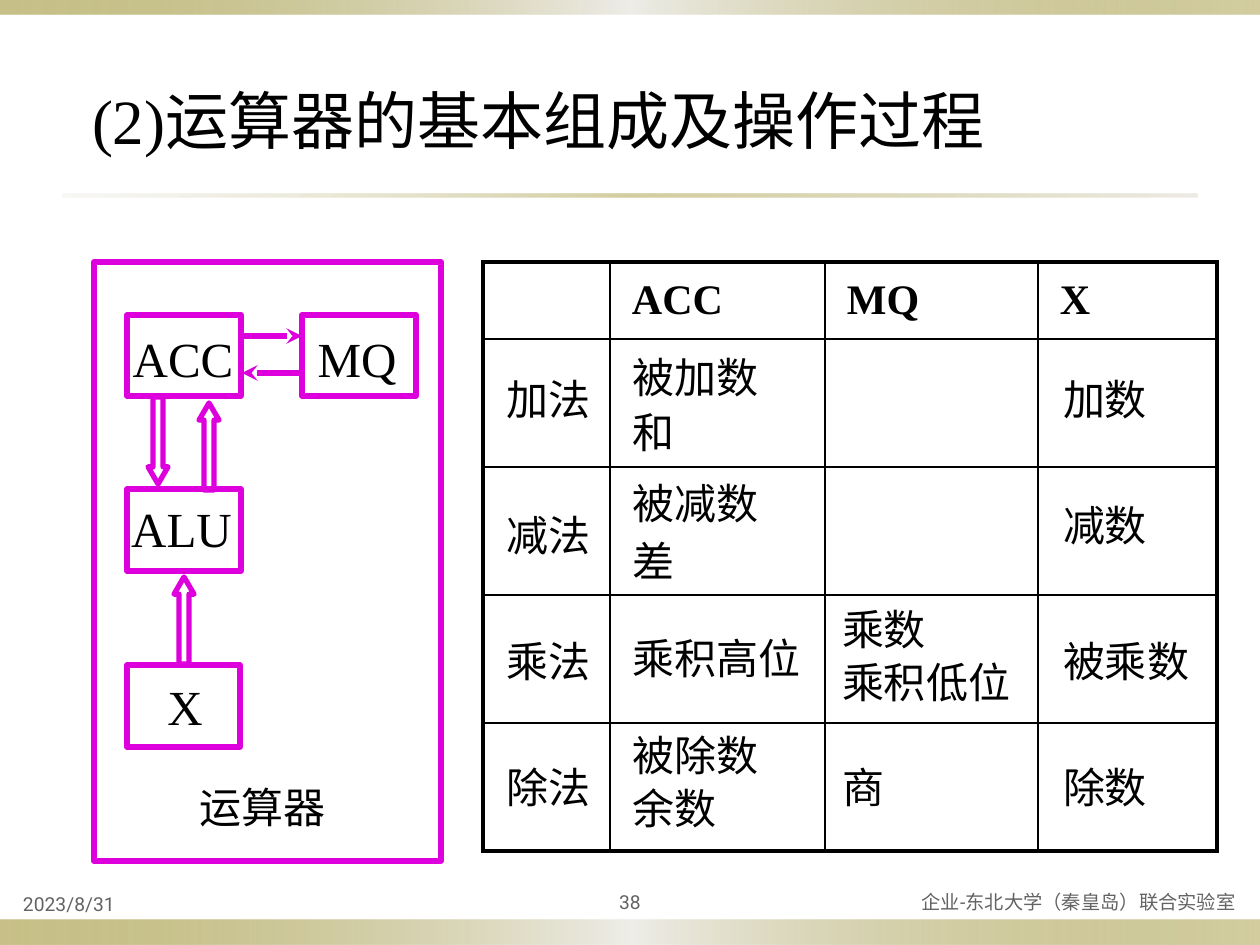
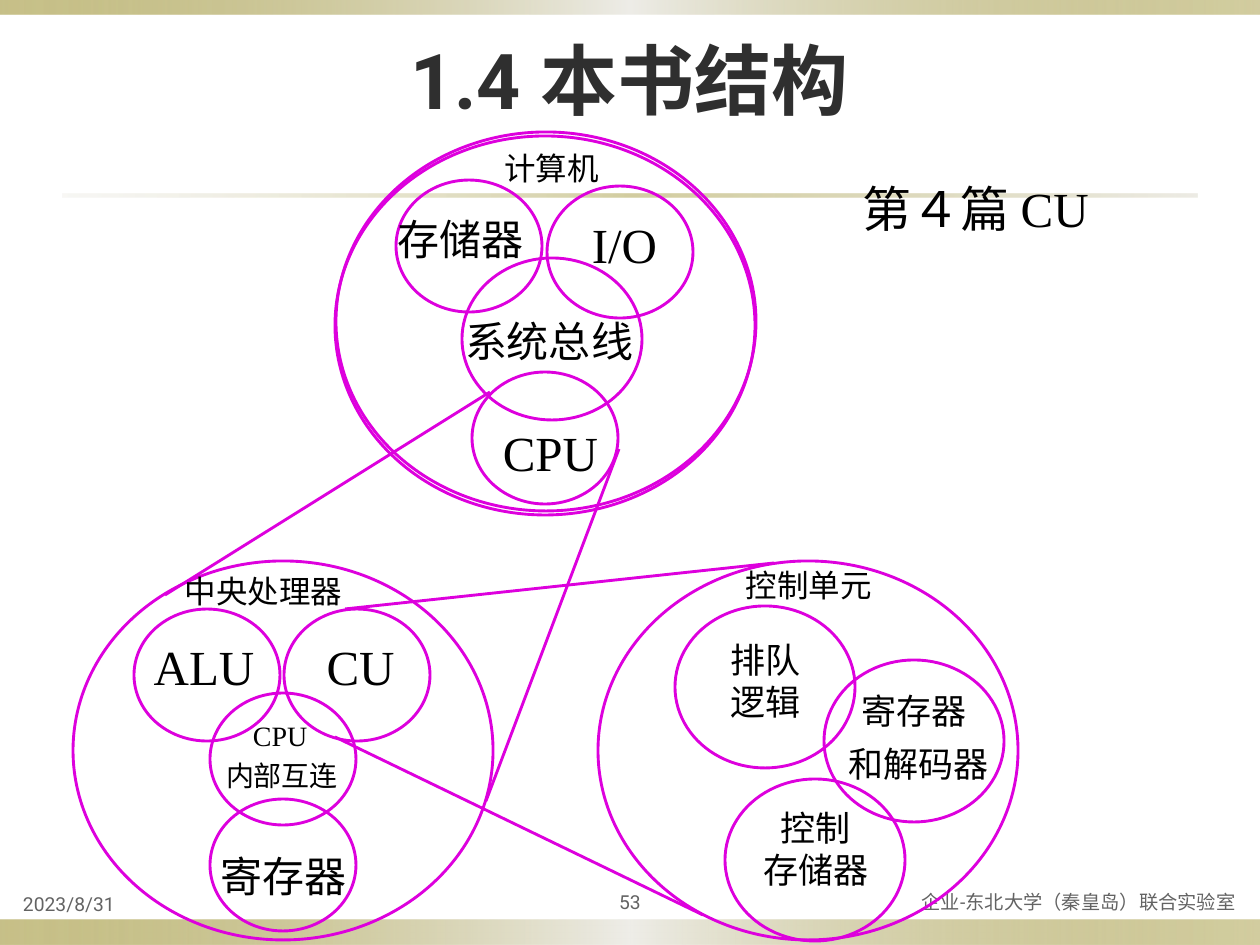
"""Build two lecture slides: arithmetic unit operation and the structure of the book."""
import dataclasses

import pptx
import pptx.dml.color
import pptx.enum.shapes
import pptx.enum.text
import pptx.oxml
import pptx.oxml.ns
import pptx.util

SHAPE = pptx.enum.shapes.MSO_SHAPE
ALIGN = pptx.enum.text.PP_ALIGN
ANCHOR = pptx.enum.text.MSO_ANCHOR


@dataclasses.dataclass(frozen=True)
class Theme:
    """Colours, fonts and sizes shared by the slides."""
    black: str = "000000"
    title: str = "2F2F2F"
    footer: str = "636363"
    magenta: str = "DD00DD"
    sans: str = "Roboto"
    serif: str = "Times New Roman"
    box_line: float = 3
    circle_line: float = 1.63
    outer_border: float = 2.25
    inner_border: float = 1
    footer_size: int = 11
    cell_size: int = 24
    band: tuple = ((0, "918415", 50), (50, "EEEDE8", 100), (100, "918415", 40))
    rule: tuple = ((0, "DCD9CC", 20), (50, "918415", 40), (100, "DCD9CC", 50))


T = Theme()
PX = 914400 / 126
SIZE = (1260, 945)
INSET = (13, 6, 13, 6)
FLUSH = (0, 0, 0, 0)

BANDS = [((0, 920, 1260, 25), T.band), ((0, 0, 1260, 15), T.band),
         ((63, 194, 1134, 3), T.rule)]
DATE = "2023/8/31"
LAB = "企业-东北大学（秦皇岛）联合实验室"

UNIT = {
    "page": "38",
    "title": "(2)运算器的基本组成及操作过程",
    "title_box": (79, 76, 1007, 88),
    "title_format": {"size": 36, "font": T.serif, "color": T.black,
                     "align": ALIGN.LEFT, "anchor": ANCHOR.TOP},
    "boxes": [(94, 262, 347, 599), (302, 315, 114, 81), (127, 315, 114, 81),
              (127, 489, 114, 82), (127, 665, 113, 82)],
    "labels": [
        ("运算器", (200, 782, 128, 50), 24, T.sans, ALIGN.LEFT),
        ("MQ", (315, 328, 84, 59), 28, T.serif, ALIGN.CENTER),
        ("ACC", (130, 328, 106, 59), 28, T.serif, ALIGN.CENTER),
        ("ALU", (130, 498, 103, 59), 28, T.serif, ALIGN.CENTER),
        ("X", (163, 677, 44, 59), 28, T.serif, ALIGN.CENTER),
    ],
    "block_arrows": [((199, 403, 20, 87), 0), ((174, 577, 20, 87), 0),
                     ((148, 397, 20, 87), 180)],
    "thin_arrows": [(241, 336, 302, 336), (302, 373, 242, 373)],
    "table_at": (483, 262),
    "columns": [127, 215, 213, 179],
    "rows": [77, 128, 128, 128, 128],
    "heads": ["", "ACC", "MQ", "X"],
    "entries": [
        (494, 150, [("加法", 368), ("减法", 504), ("乘法", 630), ("除法", 756)]),
        (620, 252, [("被加数", 346), ("和", 401), ("被减数", 472), ("差", 530),
                    ("乘积高位", 627), ("被除数", 724), ("余数", 777)]),
        (829, 230, [("乘数", 598), ("乘积低位", 651), ("商", 756)]),
        (1050, 170, [("加数", 368), ("减数", 494), ("被乘数", 630), ("除数", 756)]),
    ],
}

BOOK = {
    "page": "53",
    "title": "1.4 本书结构",
    "title_box": (94, 0, 1071, 158),
    "title_format": {"size": 44, "font": T.sans, "color": T.title, "bold": True,
                     "align": ALIGN.CENTER, "anchor": ANCHOR.MIDDLE},
    "circles": {
        (420, 379): [(335, 136), (336, 132), (73, 561), (598, 561)],
        (146, 132): [(210, 693), (134, 609), (284, 609), (210, 799),
                     (396, 180), (547, 186), (472, 372)],
        (180, 162): [(824, 660), (675, 606), (725, 779), (462, 258)],
    },
    "zoom_lines": [(490, 392, 165, 595), (619, 449, 486, 801),
                   (335, 737, 703, 915), (345, 609, 774, 563)],
    "labels": [
        ("CPU", (253, 719, 100, 34), 16, T.serif, ALIGN.LEFT),
        ("内部互连", (226, 759, 132, 34), 16, T.sans, ALIGN.LEFT),
        ("ALU", (152, 636, 104, 59), 28, T.serif, ALIGN.CENTER),
        ("CU", (325, 636, 71, 59), 28, T.serif, ALIGN.CENTER),
        ("寄存器", (221, 851, 128, 50), 24, T.sans, ALIGN.LEFT),
        ("中央处理器", (185, 572, 330, 38), 18, T.sans, ALIGN.LEFT),
        ("寄存器", (861, 689, 106, 42), 20, T.sans, ALIGN.LEFT),
        ("和解码器", (848, 742, 142, 42), 20, T.sans, ALIGN.LEFT),
        ("控制单元", (746, 566, 183, 38), 18, T.sans, ALIGN.LEFT),
        ("排队\n逻辑", (681, 638, 170, 92), 20, T.sans, ALIGN.CENTER),
        ("控制\n存储器", (741, 806, 150, 92), 20, T.sans, ALIGN.CENTER),
        ("计算机", (504, 149, 97, 38), 18, T.sans, ALIGN.LEFT),
        ("I/O", (573, 214, 103, 59), 28, T.serif, ALIGN.CENTER),
        ("系统总线", (465, 316, 171, 50), 24, T.sans, ALIGN.LEFT),
        ("存储器", (398, 214, 128, 50), 24, T.sans, ALIGN.LEFT),
        ("CPU", (500, 422, 101, 59), 28, T.serif, ALIGN.CENTER),
    ],
    "part": (("第４篇 ", T.sans), ("CU", T.serif)),
    "part_box": (850, 173, 375, 72),
}


def emu(*px):
    return [round(v * PX) for v in px]


def rgb(color):
    return pptx.dml.color.RGBColor.from_string(color)


def apply(obj, values):
    for name, value in values.items():
        setattr(obj, name, value)


def style(font, size, name, color=T.black, bold=False):
    apply(font, {"size": pptx.util.Pt(size), "name": name, "bold": bold})
    font.color.rgb = rgb(color)


def write(tf, text, size, font, color=T.black, bold=False, align=ALIGN.LEFT,
          anchor=ANCHOR.TOP, inset=INSET):
    """Fill a text frame; text is a string or (text, font) runs."""
    sides = ("margin_left", "margin_top", "margin_right", "margin_bottom")
    apply(tf, dict(zip(sides, emu(*inset))))
    apply(tf, {"word_wrap": True, "vertical_anchor": anchor,
               "auto_size": pptx.enum.text.MSO_AUTO_SIZE.NONE})
    lines = [((s, font),) for s in text.split("\n")] if isinstance(text, str) else [text]
    for i, runs in enumerate(lines):
        p = tf.paragraphs[0] if i == 0 else tf.add_paragraph()
        p.alignment = align
        for content, name in runs:
            r = p.add_run()
            r.text = content
            style(r.font, size, name, color, bold)


def add_text(slide, text, box, size, font, **formats):
    write(slide.shapes.add_textbox(*emu(*box)).text_frame, text, size, font, **formats)


def add_labels(slide, labels):
    for text, box, size, font, align in labels:
        add_text(slide, text, box, size, font, align=align, inset=FLUSH)


def add_outline(slide, kind, box, width):
    sp = slide.shapes.add_shape(kind, *emu(*box))
    sp.shadow.inherit = False
    sp.fill.background()
    sp.line.color.rgb = rgb(T.magenta)
    sp.line.width = pptx.util.Pt(width)
    return sp


def add_line(slide, ends, width, arrow=False):
    sp = slide.shapes.add_connector(pptx.enum.shapes.MSO_CONNECTOR.STRAIGHT, *emu(*ends))
    sp.line.color.rgb = rgb(T.magenta)
    sp.line.width = pptx.util.Pt(width)
    if arrow:
        tail = pptx.oxml.parse_xml(
            f'<a:tailEnd {pptx.oxml.ns.nsdecls("a")} type="stealth"/>')
        sp.line._get_or_add_ln().append(tail)
    sp._element.spPr.append(
        pptx.oxml.parse_xml(f'<a:effectLst {pptx.oxml.ns.nsdecls("a")}/>'))


def add_band(slide, box, stops):
    sp = slide.shapes.add_shape(SHAPE.RECTANGLE, *emu(*box))
    sp.shadow.inherit = False
    sp.line.fill.background()
    sp.fill.background()
    gs = "".join(f'<a:gs pos="{pos * 1000}"><a:srgbClr val="{color}">'
                 f'<a:alpha val="{alpha * 1000}"/></a:srgbClr></a:gs>'
                 for pos, color, alpha in stops)
    grad = pptx.oxml.parse_xml(
        f'<a:gradFill {pptx.oxml.ns.nsdecls("a")} rotWithShape="1">'
        f'<a:gsLst>{gs}</a:gsLst><a:lin ang="0" scaled="0"/></a:gradFill>')
    spPr = sp._element.spPr
    spPr.replace(spPr.find(pptx.oxml.ns.qn("a:noFill")), grad)


def start_slide(prs, data):
    """Add a slide with title, bands and footers."""
    slide = prs.slides.add_slide(prs.slide_layouts[5])
    title = slide.shapes.title
    apply(title, dict(zip(("left", "top", "width", "height"), emu(*data["title_box"]))))
    write(title.text_frame, data["title"], **data["title_format"])
    for box, stops in BANDS:
        add_band(slide, box, stops)
    footers = [(DATE, (10, 882, 441, 39), ALIGN.LEFT, ANCHOR.BOTTOM),
               (LAB, (735, 882, 514, 39), ALIGN.RIGHT, ANCHOR.MIDDLE),
               (data["page"], (567, 882, 126, 39), ALIGN.CENTER, ANCHOR.MIDDLE)]
    for text, box, align, anchor in footers:
        add_text(slide, text, box, T.footer_size, T.sans, color=T.footer,
                 align=align, anchor=anchor)
    return slide


def set_borders(cell, outer):
    """Draw the four cell borders, heavier on the sides named in outer."""
    cell.fill.background()
    tcPr = cell._tc.get_or_add_tcPr()
    for i, side in enumerate("LRTB"):
        width = T.outer_border if side in outer else T.inner_border
        tcPr.insert(i, pptx.oxml.parse_xml(
            f'<a:ln{side} {pptx.oxml.ns.nsdecls("a")} w="{round(width * 12700)}">'
            f'<a:solidFill><a:srgbClr val="{T.black}"/></a:solidFill></a:ln{side}>'))


def add_operand_table(slide, data):
    cols, rows = data["columns"], data["rows"]
    box = (*data["table_at"], sum(cols), sum(rows))
    table = slide.shapes.add_table(len(rows), len(cols), *emu(*box)).table
    apply(table, {"first_row": False, "horz_banding": False})
    for col, width in zip(table.columns, emu(*cols)):
        col.width = width
    for row, height in zip(table.rows, emu(*rows)):
        row.height = height
    for i in range(len(rows)):
        for j in range(len(cols)):
            edges = {"L": j == 0, "R": j == len(cols) - 1,
                     "T": i == 0, "B": i == len(rows) - 1}
            set_borders(table.cell(i, j), [s for s, is_edge in edges.items() if is_edge])
    for j, head in enumerate(data["heads"]):
        if head:
            cell = table.cell(0, j)
            apply(cell, {"vertical_anchor": ANCHOR.MIDDLE, "margin_left": emu(22)[0]})
            r = cell.text_frame.paragraphs[0].add_run()
            r.text = head
            style(r.font, T.cell_size, T.serif, bold=True)


def build_unit(prs):
    slide = start_slide(prs, UNIT)
    add_operand_table(slide, UNIT)
    for box in UNIT["boxes"]:
        add_outline(slide, SHAPE.RECTANGLE, box, T.box_line)
    add_labels(slide, UNIT["labels"])
    for box, rotation in UNIT["block_arrows"]:
        sp = add_outline(slide, SHAPE.UP_ARROW, box, T.box_line)
        sp.rotation = rotation
        sp.adjustments[0], sp.adjustments[1] = 0.5, 0.86
    for ends in UNIT["thin_arrows"]:
        add_line(slide, ends, T.box_line, arrow=True)
    for x, width, items in UNIT["entries"]:
        for text, y in items:
            add_text(slide, text, (x, y, width, 63), T.cell_size, T.serif)


def build_book(prs):
    slide = start_slide(prs, BOOK)
    for size, corners in BOOK["circles"].items():
        for corner in corners:
            add_outline(slide, SHAPE.OVAL, corner + size, T.circle_line)
    for ends in BOOK["zoom_lines"]:
        add_line(slide, ends, T.circle_line)
    add_labels(slide, BOOK["labels"])
    add_text(slide, BOOK["part"], BOOK["part_box"], 28, T.sans)


def main():
    prs = pptx.Presentation()
    prs.slide_width, prs.slide_height = emu(*SIZE)
    build_unit(prs)
    build_book(prs)
    prs.save("out.pptx")


if __name__ == "__main__":
    main()
